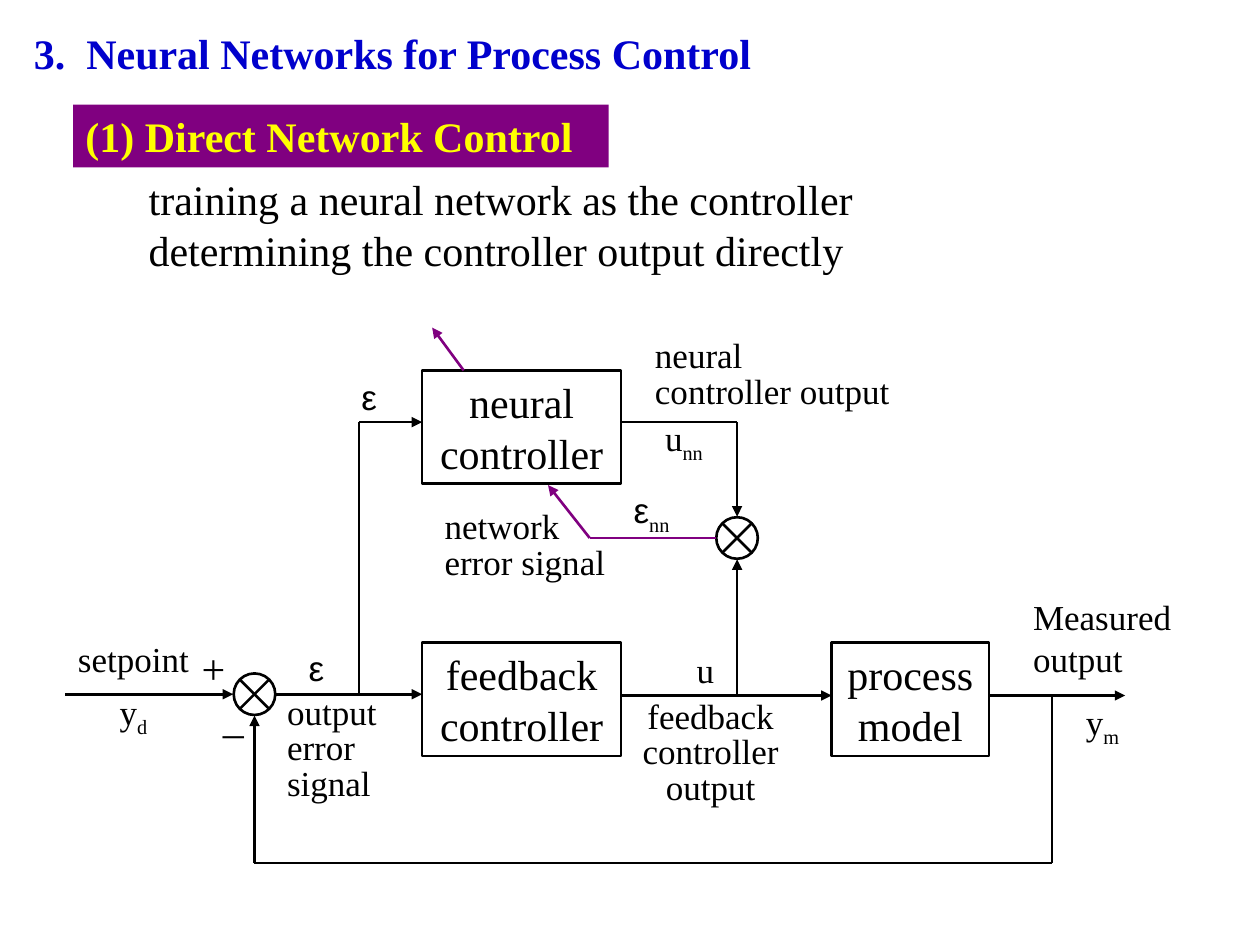
from itertools import pairwise

from lxml import etree
from pptx import Presentation
from pptx.dml.color import RGBColor
from pptx.enum.shapes import MSO_CONNECTOR, MSO_SHAPE
from pptx.enum.text import PP_ALIGN
from pptx.oxml.ns import qn
from pptx.util import Inches, Pt

LEFT, CENTER = PP_ALIGN.LEFT, PP_ALIGN.CENTER
RECTANGLE, JUNCTION = MSO_SHAPE.RECTANGLE, MSO_SHAPE.FLOWCHART_SUMMING_JUNCTION
STRAIGHT = MSO_CONNECTOR.STRAIGHT
SERIF, SANS = "Times New Roman", "Arial"
COLORS = {"black": "000000", "white": "FFFFFF", "blue": "0000CC",
          "purple": "800080", "yellow": "FFFF00"}

TITLE = ((0.17, 0.17, 5.92, 0.5), "3.  Neural Networks for Process Control")
SECTION = ((0.58, 0.83, 4.25, 0.5), "(1) Direct Network Control")
SUMMARY = ((0.58, 1.33, 6.83, 0.9), "training a neural network as the controller "
           "determining the controller output directly")

BLOCKS = [
    ((3.35, 5.1, 1.58, 0.9), "feedback controller"),
    ((6.6, 5.1, 1.25, 0.9), "process model"),
    ((3.35, 2.94, 1.58, 0.9), "neural controller"),
]

# Junction centres
ERROR_SUM, NETWORK_SUM = (2.02, 5.51), (5.85, 4.27)
JUNCTION_SIZE = 0.33

# Points along each signal, colour, width in points, arrow at the end
SIGNALS = [
    ([(0.52, 5.51), (1.85, 5.51)], "black", 1.5, True),
    ([(2.18, 5.51), (3.35, 5.51)], "black", 1.5, True),
    ([(4.93, 5.52), (6.6, 5.52)], "black", 1.5, True),
    ([(7.85, 5.52), (8.93, 5.52)], "black", 1.5, True),
    ([(5.85, 5.52), (5.85, 4.44)], "black", 1.5, True),
    ([(4.93, 3.35), (5.85, 3.35), (5.85, 4.1)], "black", 1.5, True),
    ([(2.85, 5.51), (2.85, 3.35)], "black", 1.5, False),
    ([(2.85, 3.35), (3.35, 3.35)], "black", 0.75, True),
    ([(8.35, 5.51), (8.35, 6.85), (2.02, 6.85), (2.02, 5.68)], "black", 1.5, True),
    ([(5.68, 4.27), (4.68, 4.27), (4.35, 3.85)], "purple", 1.5, True),
    ([(3.68, 2.94), (3.43, 2.6)], "purple", 1.5, True),
]

SIGNS = [((1.6, 5.1, 0.25, 0.4), "+"), ((1.77, 5.6, 0.17, 0.4), "–")]

# An underscore starts a subscript
SYMBOLS = [
    ((5.18, 3.26, 0.67, 0.48), "u_nn"),
    ((2.77, 2.93, 0.42, 0.44), "ε"),
    ((4.93, 3.83, 0.67, 0.48), "ε_nn"),
    ((5.43, 5.1, 0.42, 0.44), "u"),
    ((8.52, 5.51, 0.5, 0.48), "y_m"),
    ((2.35, 5.08, 0.42, 0.44), "ε"),
    ((0.85, 5.43, 0.75, 0.48), "y_d"),
]

# Place, lines, spacing of the first line and of the others, alignment
CAPTIONS = [
    ((0.52, 5.01, 1.08, 0.44), ["setpoint"], 1.0, 1.0, LEFT),
    ((8.1, 4.68, 1.42, 0.77), ["Measured", "output"], 1.0, 1.0, LEFT),
    ((5.1, 2.6, 2.5, 0.72), ["neural", "controller output"], 1.0, 0.85, LEFT),
    ((3.43, 4.01, 1.58, 0.67), ["network", "error signal"], 0.85, 0.85, LEFT),
    ((4.93, 5.51, 1.42, 0.95), ["feedback", "controller", "output"], 0.85, 0.85, CENTER),
    ((2.18, 5.48, 1.0, 0.95), ["output", "error", "signal"], 0.85, 0.85, LEFT),
]


def rgb(name):
    return RGBColor.from_string(COLORS[name])


def write(shape, lines, size=24, color="black", bold=False, align=LEFT,
          first_spacing=1.0, spacing=1.0, margins=(0.1, 0.05)):
    frame = shape.text_frame
    side, edge = map(Inches, margins)
    layout = {"word_wrap": True, "margin_left": side, "margin_right": side,
              "margin_top": edge, "margin_bottom": edge}
    for name, value in layout.items():
        setattr(frame, name, value)
    for index, line in enumerate(lines):
        paragraph = frame.add_paragraph() if index else frame.paragraphs[0]
        paragraph.alignment = align
        paragraph.line_spacing = spacing if index else first_spacing
        for level, part in enumerate(line.split("_")):
            run = paragraph.add_run()
            run.text = part
            formats = {"size": Pt(size), "bold": bold,
                       "name": SANS if part == "ε" else SERIF}
            for name, value in formats.items():
                setattr(run.font, name, value)
            run.font.color.rgb = rgb(color)
            if level:
                run.font._element.set("baseline", "-25000")
    return frame


def add_text(slide, place, lines, **formats):
    return write(slide.shapes.add_textbox(*map(Inches, place)), lines, **formats)


def add_filled(slide, kind, place, fill, line=None):
    shape = slide.shapes.add_shape(kind, *map(Inches, place))
    shape.shadow.inherit = False
    shape.fill.solid()
    shape.fill.fore_color.rgb = rgb(fill)
    if line:
        shape.line.color.rgb = rgb(line)
        shape.line.width = Pt(1.5)
    else:
        shape.line.fill.background()
    return shape


def add_signal(slide, points, color, width, arrow):
    for start, end in pairwise(points):
        segment = slide.shapes.add_connector(STRAIGHT, *map(Inches, start + end))
        segment.line.color.rgb = rgb(color)
        segment.line.width = Pt(width)
        properties = segment._element.spPr
        if arrow and end == points[-1]:
            etree.SubElement(properties.find(qn("a:ln")), qn("a:tailEnd"), type="triangle")
        etree.SubElement(properties, qn("a:effectLst"))


def main():
    presentation = Presentation()
    presentation.slide_width, presentation.slide_height = Inches(10), Inches(7.5)
    slide = presentation.slides.add_slide(presentation.slide_layouts[6])

    place, title = TITLE
    add_text(slide, place, [title], color="blue", bold=True)
    place, section = SECTION
    write(add_filled(slide, RECTANGLE, place, "purple"), [section], color="yellow", bold=True)
    place, summary = SUMMARY
    add_text(slide, place, [summary]).margin_left = Inches(0.6)

    for place, name in BLOCKS:
        write(add_filled(slide, RECTANGLE, place, "white", "black"), [name], align=CENTER)
    for x, y in (ERROR_SUM, NETWORK_SUM):
        half = JUNCTION_SIZE / 2
        add_filled(slide, JUNCTION, (x - half, y - half, JUNCTION_SIZE, JUNCTION_SIZE),
                   "white", "black")
    for signal in SIGNALS:
        add_signal(slide, *signal)

    for place, sign in SIGNS:
        add_text(slide, place, [sign], margins=(0, 0))
    for place, symbol in SYMBOLS:
        add_text(slide, place, [symbol], size=20)
    for place, lines, first_spacing, spacing, align in CAPTIONS:
        add_text(slide, place, lines, size=20, align=align,
                 first_spacing=first_spacing, spacing=spacing)

    # Preset shapes centre their text vertically; blocks are sized to fit it
    presentation.save("out.pptx")


if __name__ == "__main__":
    main()
